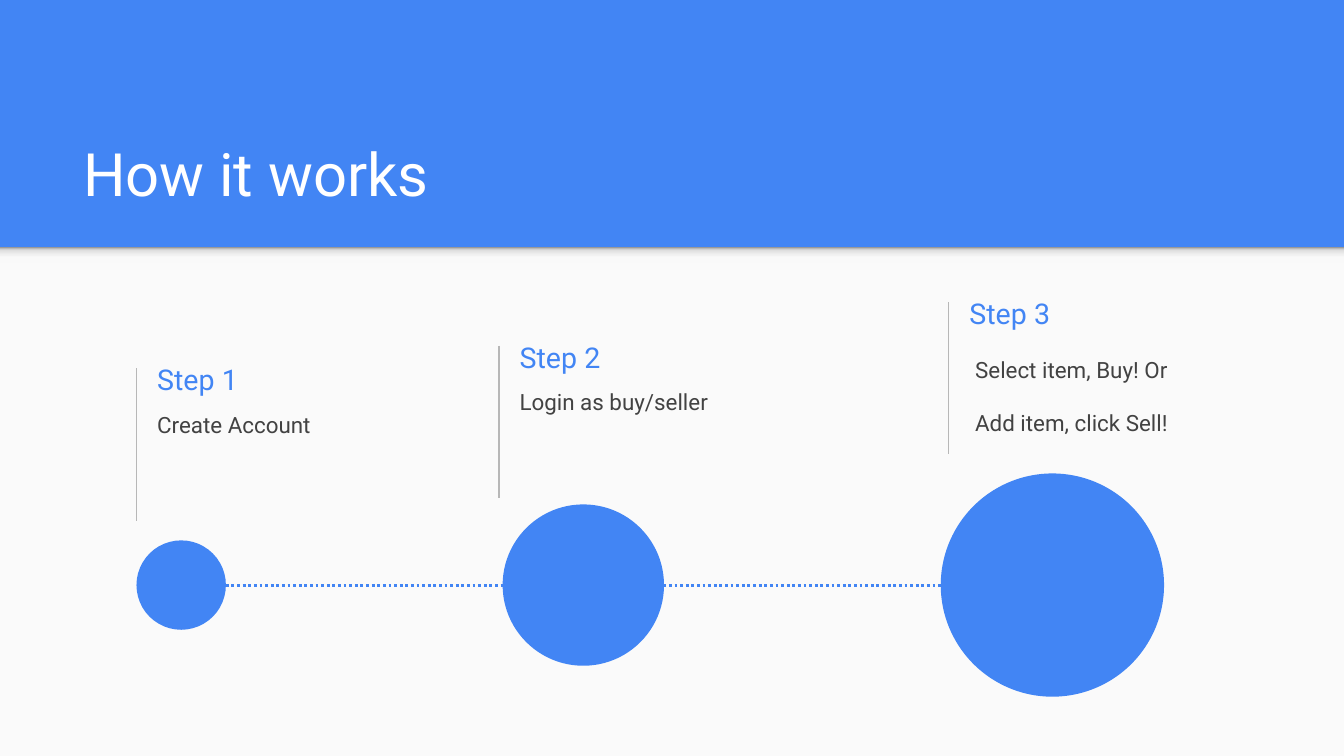
from lxml import etree
from pptx import Presentation
from pptx.dml.color import RGBColor
from pptx.enum.dml import MSO_LINE_DASH_STYLE as Dash
from pptx.enum.shapes import MSO_CONNECTOR as Connector, MSO_SHAPE as Shape
from pptx.enum.text import MSO_ANCHOR as Anchor
from pptx.oxml import parse_xml
from pptx.oxml.ns import nsdecls, qn
from pptx.util import Cm, Pt

# Content: rule and body positions and circle sizes in cm
TITLE = "How it works"
STEPS = [
    dict(name="Step 1", lines=["Create Account"], rule=(2.58, 6.96),
         body=(0.14, 0.48, 1.6), circle=(2.58, 1.69)),
    dict(name="Step 2", lines=["Login as buy/seller"], rule=(9.43, 6.54),
         body=(0.14, 0.48, 1.6), circle=(9.5, 3.05)),
    dict(name="Step 3", lines=["Select item, Buy! Or", "Add item, click Sell!"],
         rule=(17.93, 5.71), body=(0.25, 0.69, 2.41), circle=(17.78, 4.22)),
]
BLUE, PAPER, WHITE, GRAY, INK = "4285F4", "FAFAFA", "FFFFFF", "B7B7B7", "424242"
SHADOW_STOPS = [(0, "F9F9F9"), (36, "F9F9F9"), (80, "DEDEDE"), (100, "999999")]
WIDTH, HEIGHT = 25.4, 14.29
BAND_HEIGHT = 4.67
RULE_HEIGHT = 2.88
TEXT_WIDTH = 5.03
AXIS = 11.06

presentation = Presentation()
presentation.slide_width, presentation.slide_height = Cm(WIDTH), Cm(HEIGHT)
slide = presentation.slides.add_slide(presentation.slide_layouts[6])


def color(value):
    return RGBColor.from_string(value)


def add_shape(kind, left, top, width, height, fill):
    shape = slide.shapes.add_shape(kind, Cm(left), Cm(top), Cm(width), Cm(height))
    shape.shadow.inherit = False
    shape.line.fill.background()
    shape.fill.solid()
    shape.fill.fore_color.rgb = color(fill)
    return shape


def add_line(start, end, stroke, weight, dash=None):
    line = slide.shapes.add_connector(
        Connector.STRAIGHT, *(Cm(value) for value in (*start, *end)))
    line.line.color.rgb = color(stroke)
    line.line.width = Pt(weight)
    if dash:
        line.line.dash_style = dash
    etree.SubElement(line._element.spPr, qn("a:effectLst"))


def add_text(lines, left, top, width, height, *, size, fill,
             anchor=Anchor.TOP, spacing=1.0, gap=0):
    frame = slide.shapes.add_textbox(Cm(left), Cm(top), Cm(width), Cm(height)).text_frame
    frame.word_wrap = True
    frame.vertical_anchor = anchor
    frame.margin_left = frame.margin_right = Cm(0.25)
    frame.margin_top = frame.margin_bottom = Cm(0.25)
    for index, text in enumerate(lines):
        paragraph = frame.paragraphs[0] if index == 0 else frame.add_paragraph()
        paragraph.line_spacing = spacing
        if index:
            paragraph.space_before = Pt(gap)
        run = paragraph.add_run()
        run.text = text
        run.font.name, run.font.size = "Roboto", Pt(size)
        run.font.color.rgb = color(fill)


# Blue band, pale lower panel and the soft edge between them
slide.background.fill.solid()
slide.background.fill.fore_color.rgb = color(BLUE)
add_shape(Shape.RECTANGLE, 0, BAND_HEIGHT, WIDTH, HEIGHT - BAND_HEIGHT, PAPER)
edge = add_shape(Shape.RECTANGLE, 0, BAND_HEIGHT, WIDTH, 0.3, PAPER)
stops = "".join(f'<a:gs pos="{position * 1000}"><a:srgbClr val="{value}"/></a:gs>'
                for position, value in SHADOW_STOPS)
gradient = parse_xml(f'<a:gradFill {nsdecls("a")}><a:gsLst>{stops}</a:gsLst>'
                     '<a:lin ang="16200000" scaled="0"/></a:gradFill>')
properties = edge._element.spPr
properties.replace(properties.find(qn("a:solidFill")), gradient)

add_text([TITLE], 1.32, 2.06, 22.83, 2.13, size=32, fill=WHITE, anchor=Anchor.BOTTOM)

# Step rules, headings and descriptions
for step in STEPS:
    x, y = step["rule"]
    shift, drop, body_height = step["body"]
    add_line((x, y), (x, y + RULE_HEIGHT), GRAY, 0.75)
    add_text([step["name"]], x + 0.14, y - 0.34, TEXT_WIDTH, 1.09,
             size=15.3, fill=BLUE, anchor=Anchor.MIDDLE)
    add_text(step["lines"], x + shift, y + drop, TEXT_WIDTH, body_height,
             size=12, fill=INK, spacing=1.15, gap=12)

# Dotted axis with growing circles centred on it
first_left, first_size = STEPS[0]["circle"]
add_line((first_left + first_size, AXIS), (STEPS[-1]["circle"][0], AXIS),
         BLUE, 1.5, Dash.ROUND_DOT)
for step in STEPS:
    left, diameter = step["circle"]
    add_shape(Shape.OVAL, left, AXIS - diameter / 2, diameter, diameter, BLUE)

presentation.save("out.pptx")
